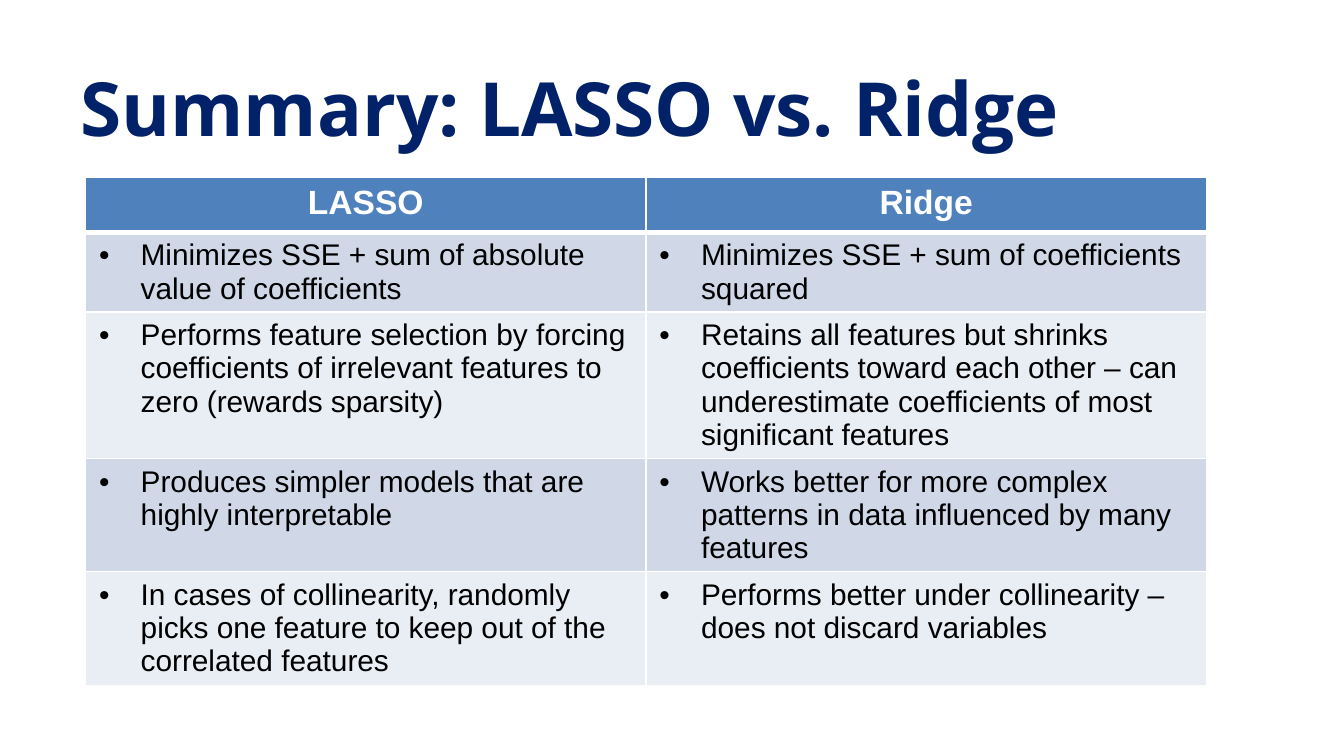
from lxml.etree import SubElement
from pptx import Presentation
from pptx.dml.color import RGBColor
from pptx.enum.text import MSO_ANCHOR, PP_ALIGN
from pptx.oxml.ns import qn
from pptx.util import Inches, Pt

NAVY = RGBColor(0x01, 0x21, 0x69)
BLUE = RGBColor(0x4F, 0x81, 0xBD)
BANDS = (RGBColor(0xD0, 0xD8, 0xE8), RGBColor(0xE9, 0xED, 0xF4))
WHITE = RGBColor(0xFF, 0xFF, 0xFF)
BLACK = RGBColor(0, 0, 0)

WIDTH = Inches(10)
HEIGHT = WIDTH * 9 // 16
# Boxes are left, top, width and height in percent of the slide's size.
TITLE_BOX = (5, 7.5, 90, 13.2)
TABLE_BOX = (6.37, 23.45, 83.4, 67.2)
INDENT = Inches(0.31)
ROW_SHARES = (0.41, 0.59, 1.09, 0.84, 0.85)

HEADINGS = ("LASSO", "Ridge")
COMPARISONS = (
    ("Minimizes SSE + sum of absolute value of coefficients",
     "Minimizes SSE + sum of coefficients squared"),
    ("Performs feature selection by forcing coefficients of irrelevant features to zero "
     "(rewards sparsity)",
     "Retains all features but shrinks coefficients toward each other – can underestimate "
     "coefficients of most significant features"),
    ("Produces simpler models that are highly interpretable",
     "Works better for more complex patterns in data influenced by many features"),
    ("In cases of collinearity, randomly picks one feature to keep out of the correlated features",
     "Performs better under collinearity – does not discard variables"),
)


def place(box):
    """Turn percentages of the slide's size into lengths."""
    return [int(length * share / 100)
            for length, share in zip((WIDTH, HEIGHT, WIDTH, HEIGHT), box)]


def add_run(paragraph, text, font_name, size, color, bold):
    run = paragraph.add_run()
    run.text = text
    font = run.font
    font.name, font.size, font.bold = font_name, Pt(size), bold
    font.color.rgb = color


def add_bullet(paragraph):
    properties = paragraph._p.get_or_add_pPr()
    properties.set("marL", str(INDENT))
    properties.set("indent", str(-INDENT))
    SubElement(properties, qn("a:buFont")).set("typeface", "Arial")
    SubElement(properties, qn("a:buChar")).set("char", "•")


def set_borders(cell, top=1, bottom=1):
    """Draw white cell borders; must run before the cell's fill is set."""
    properties = cell._tc.get_or_add_tcPr()
    for side, points in (("L", 1), ("R", 1), ("T", top), ("B", bottom)):
        line = SubElement(properties, qn(f"a:ln{side}"), w=str(Pt(points)))
        fill = SubElement(line, qn("a:solidFill"))
        SubElement(fill, qn("a:srgbClr"), val=str(WHITE))


def fill_cell(cell, color):
    cell.fill.solid()
    cell.fill.fore_color.rgb = color


def format_title(slide, box):
    title = slide.shapes.title
    title.left, title.top, title.width, title.height = place(box)
    frame = title.text_frame
    frame.vertical_anchor = MSO_ANCHOR.MIDDLE
    paragraph = frame.paragraphs[0]
    paragraph.alignment = PP_ALIGN.LEFT
    add_run(paragraph, "Summary: LASSO vs. Ridge", "Open Sans", 40, NAVY, True)


def add_comparison_table(slide, box):
    left, top, width, height = place(box)
    table = slide.shapes.add_table(
        len(COMPARISONS) + 1, len(HEADINGS), left, top, width, height).table
    for row, share in zip(table.rows, ROW_SHARES):
        row.height = int(height * share / sum(ROW_SHARES))

    for column, heading in enumerate(HEADINGS):
        cell = table.cell(0, column)
        set_borders(cell, bottom=3)
        fill_cell(cell, BLUE)
        paragraph = cell.text_frame.paragraphs[0]
        paragraph.alignment = PP_ALIGN.CENTER
        add_run(paragraph, heading, "Arial", 18, WHITE, True)

    for row, texts in enumerate(COMPARISONS, start=1):
        for column, text in enumerate(texts):
            cell = table.cell(row, column)
            set_borders(cell, top=3 if row == 1 else 1)
            fill_cell(cell, BANDS[(row - 1) % 2])
            paragraph = cell.text_frame.paragraphs[0]
            add_bullet(paragraph)
            add_run(paragraph, text, "Arial", 16, BLACK, False)


def main():
    presentation = Presentation()
    presentation.slide_width, presentation.slide_height = WIDTH, HEIGHT
    slide = presentation.slides.add_slide(presentation.slide_layouts.get_by_name("Title Only"))
    format_title(slide, TITLE_BOX)
    add_comparison_table(slide, TABLE_BOX)
    presentation.save("out.pptx")


if __name__ == "__main__":
    main()
